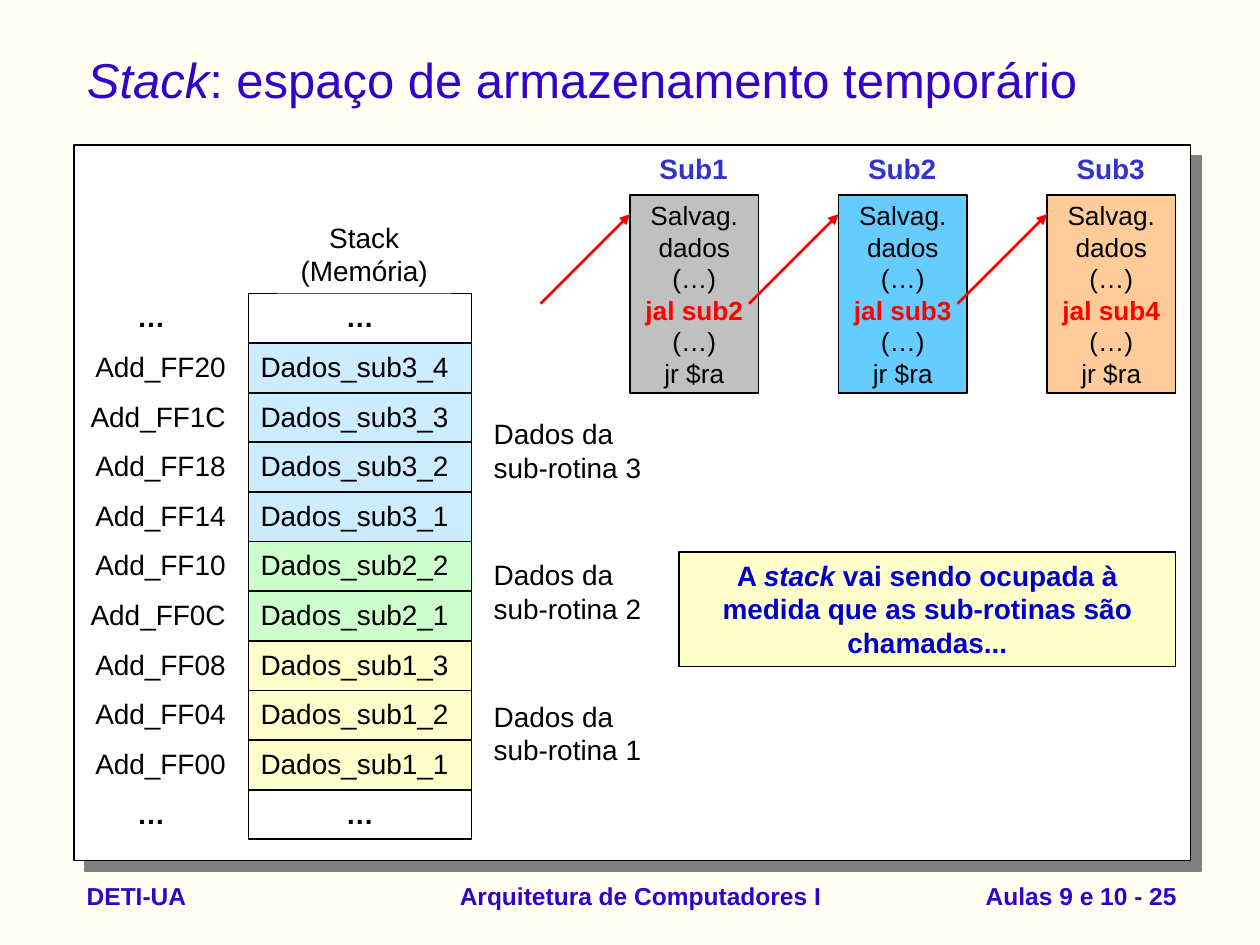
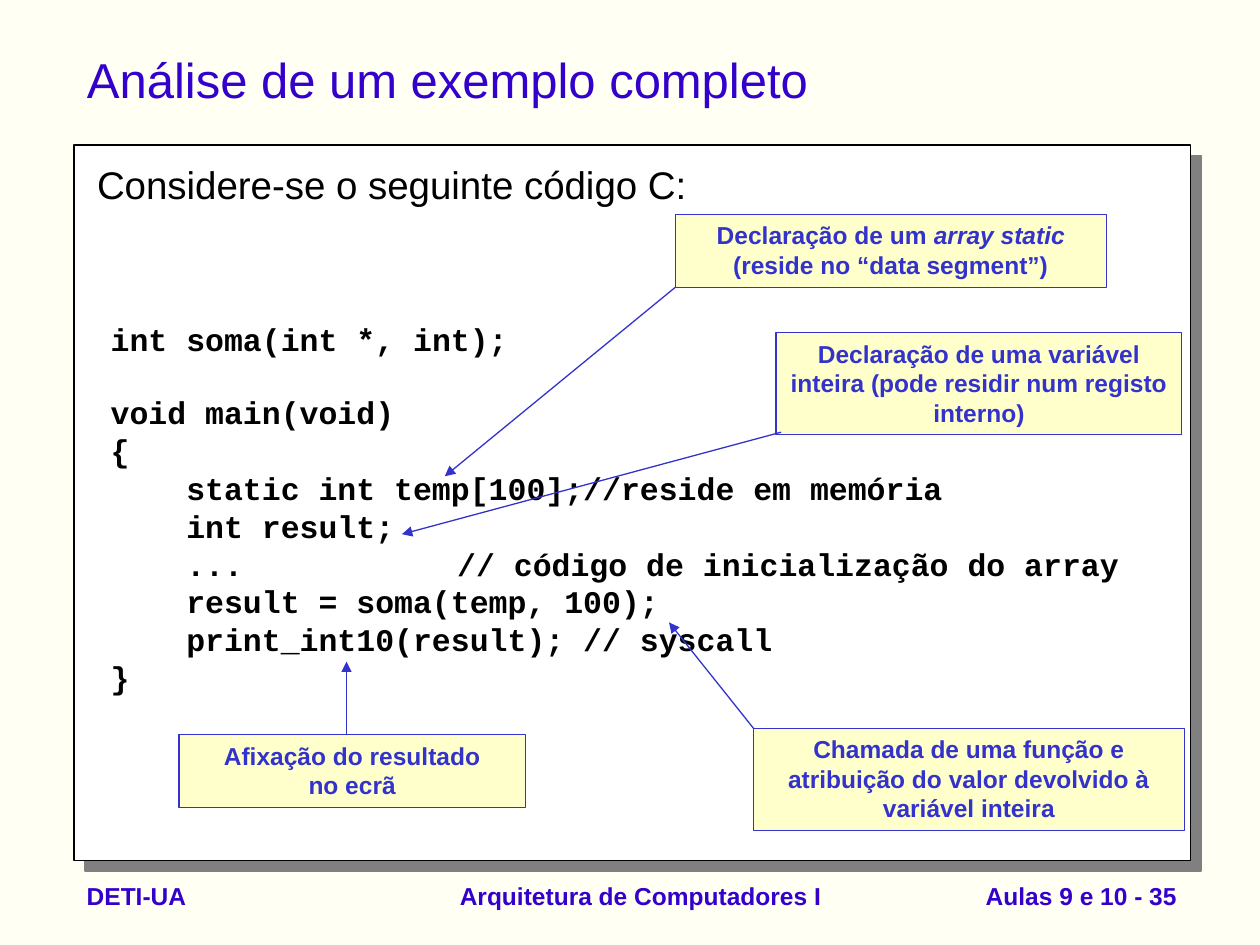
from lxml import etree
from pptx import Presentation
from pptx.dml.color import RGBColor
from pptx.enum import shapes, text
from pptx.oxml import parse_xml
from pptx.oxml.ns import nsdecls, qn
from pptx.util import Inches, Pt

INDIGO, BLUE, NAVY = "3300CC", "3333CC", "0000CC"
BLACK, WHITE, RED = "000000", "FFFFFF", "FF0000"
PAPER, YELLOW, GREEN, SKY = "FFFFF4", "FFFFCC", "CCFFCC", "CCECFF"
LEFT, CENTER, RIGHT = text.PP_ALIGN.LEFT, text.PP_ALIGN.CENTER, text.PP_ALIGN.RIGHT
TOP, MIDDLE = text.MSO_ANCHOR.TOP, text.MSO_ANCHOR.MIDDLE
ITALIC = {"italic": True}

PANEL = (0.59, 1.15, 8.86, 5.68)
TITLE = (0.59, 0.28, 8.86, 0.7)
FOOTERS = [
    ((0.59, 6.85, 2.36, 0.52), "DETI-UA", LEFT),
    ((3.5, 6.85, 3.17, 0.52), "Arquitetura de Computadores I", CENTER),
    ((7.11, 6.85, 2.33, 0.52), "Aulas 9 e 10 - {}", RIGHT),
]

# Memory words from the highest address down: address, content, fill
STACK = [
    ("…", "…", WHITE),
    ("Add_FF20", "Dados_sub3_4", SKY),
    ("Add_FF1C", "Dados_sub3_3", SKY),
    ("Add_FF18", "Dados_sub3_2", SKY),
    ("Add_FF14", "Dados_sub3_1", SKY),
    ("Add_FF10", "Dados_sub2_2", GREEN),
    ("Add_FF0C", "Dados_sub2_1", GREEN),
    ("Add_FF08", "Dados_sub1_3", YELLOW),
    ("Add_FF04", "Dados_sub1_2", YELLOW),
    ("Add_FF00", "Dados_sub1_1", YELLOW),
    ("…", "…", WHITE),
]
STACK_TOP, ROW_PITCH, ROW_HEIGHT = 2.33, 0.394, 0.39
SUBROUTINE_FILLS = ["C0C0C0", "66CCFF", "FFCC99"]
STACK_NOTE = [("A ", {}), ("stack", ITALIC),
              (" vai sendo ocupada à medida que as sub-rotinas são chamadas...", {})]

CODE = [
    "int soma(int *, int);",
    "void main(void)",
    "{",
    "\tstatic int temp[100];//reside em memória",
    "\tint result;",
    "\t...\t// código de inicialização do array",
    "\tresult = soma(temp, 100);",
    "\tprint_int10(result); // syscall",
    "}",
]
CODE_TABS = [0.6, 2.75]

# Box, paragraphs, arrow start, arrow end
CALLOUTS = [
    ((5.36, 1.7, 3.42, 0.58),
     [[("Declaração de um ", {}), ("array static", ITALIC), (" (reside no “data segment”)", {})]],
     (5.36, 2.28), (3.53, 3.78)),
    ((6.16, 2.64, 3.22, 0.81),
     ["Declaração de uma variável inteira (pode residir num registo interno)"],
     (6.2, 3.43), (3.19, 4.24)),
    ((5.98, 5.78, 3.42, 0.81),
     ["Chamada de uma função e atribuição do valor devolvido à variável inteira"],
     (5.98, 5.78), (5.31, 4.94)),
    ((1.42, 5.83, 2.75, 0.58),
     ["Afixação do resultado", "no ecrã"],
     (2.75, 5.83), (2.75, 5.25)),
]


def rgb(color):
    return RGBColor.from_string(color)


def inches(*lengths):
    return [Inches(length) for length in lengths]


def write(sp, paragraphs, size, color=BLACK, bold=False, align=LEFT, anchor=TOP,
          font="Arial", wrap=True):
    """Fill a shape; a paragraph is a string or a list of (text, font overrides)."""
    tf = sp.text_frame
    tf.word_wrap = wrap
    tf.auto_size = text.MSO_AUTO_SIZE.NONE
    tf.vertical_anchor = anchor
    for i, runs in enumerate(paragraphs):
        p = tf.add_paragraph() if i else tf.paragraphs[0]
        p.alignment = align
        p.font.name, p.font.size, p.font.bold = font, Pt(size), bold
        p.font.color.rgb = rgb(color)
        for words, style in [(runs, {})] if isinstance(runs, str) else runs:
            r = p.add_run()
            r.text = words
            for name, value in style.items():
                if name == "color":
                    r.font.color.rgb = rgb(value)
                else:
                    setattr(r.font, name, value)
    return tf


def add_text(s, box, paragraphs, size, **style):
    return write(s.shapes.add_textbox(*inches(*box)), paragraphs, size, **style)


def add_box(s, box, fill, line=None, width=0.75):
    sp = s.shapes.add_shape(shapes.MSO_SHAPE.RECTANGLE, *inches(*box))
    sp.shadow.inherit = False
    sp.fill.solid()
    sp.fill.fore_color.rgb = rgb(fill)
    if line:
        sp.line.color.rgb = rgb(line)
        sp.line.width = Pt(width)
    else:
        sp.line.fill.background()
    return sp


def add_arrow(s, start, end, color, width):
    cn = s.shapes.add_connector(shapes.MSO_CONNECTOR.STRAIGHT, *inches(*start, *end))
    cn.line.color.rgb = rgb(color)
    cn.line.width = Pt(width)
    etree.SubElement(cn.line._get_or_add_ln(), qn("a:tailEnd"), type="triangle")
    etree.SubElement(cn._element.spPr, qn("a:effectLst"))


def place(sp, box):
    sp.left, sp.top, sp.width, sp.height = inches(*box)


def add_panel(s):
    """Put the white panel with its hard shadow behind everything else."""
    sp = add_box(s, PANEL, WHITE, BLACK, 1)
    effects = sp._element.spPr.find(qn("a:effectLst"))
    effects.append(parse_xml(
        f'<a:outerShdw {nsdecls("a")} dist="{Pt(8.5)}" dir="2700000" algn="ctr" '
        'rotWithShape="0"><a:srgbClr val="808080"/></a:outerShdw>'))
    s.shapes._spTree.insert(2, sp._element)


def new_slide(prs, layout, title, number):
    s = prs.slides.add_slide(prs.slide_layouts[layout])
    s.background.fill.solid()
    s.background.fill.fore_color.rgb = rgb(PAPER)
    add_panel(s)
    place(s.shapes.title, TITLE)
    write(s.shapes.title, [title], 28, INDIGO, anchor=MIDDLE)
    for box, words, align in FOOTERS:
        add_text(s, box, [words.format(number)], 14, color=INDIGO, bold=True,
                 align=align, anchor=MIDDLE)
    return s


def build_stack_slide(prs):
    s = new_slide(prs, 5, [("Stack", ITALIC), (": espaço de armazenamento temporário", {})], 25)
    for i, (address, content, fill) in enumerate(STACK):
        y = STACK_TOP + i * ROW_PITCH
        dots = content == "…"
        add_text(s, (0.51, y, 1.38, ROW_HEIGHT), [address], 16, bold=dots,
                 align=CENTER if dots else RIGHT)
        cell = add_box(s, (1.97, y, 1.77, ROW_HEIGHT), fill, BLACK)
        write(cell, [content], 16, bold=dots, align=CENTER if dots else LEFT)
    heading = add_box(s, (2.2, 1.7, 1.38, 0.63), WHITE)
    write(heading, ["Stack", "(Memória)"], 16, align=CENTER)

    for i, fill in enumerate(SUBROUTINE_FILLS):
        n = i + 1
        add_text(s, (3.82, 5.5 - 1.12 * i, 1.5, 0.77), ["Dados da", f"sub-rotina {n}"], 16)
        x = 5 + 1.655 * i
        add_text(s, (x + 0.11, 1.15, 0.79, 0.37), [f"Sub{n}"], 16, color=BLUE, bold=True,
                 align=CENTER)
        call = [(f"jal sub{n + 1}", {"color": RED, "bold": True})]
        write(add_box(s, (x, 1.55, 1.02, 1.57), fill, BLACK, 1),
              ["Salvag.", "dados", "(…)", call, "(…)", "jr $ra"], 15,
              align=CENTER, anchor=MIDDLE, wrap=False)
    for i in range(len(SUBROUTINE_FILLS)):
        x = 5 + 1.655 * i
        add_arrow(s, (x - 0.71, 2.41), (x, 1.7), RED, 1.5)

    note = add_box(s, (5.39, 4.38, 3.94, 0.91), YELLOW, BLACK)
    write(note, [STACK_NOTE], 16, NAVY, bold=True, align=CENTER)


def build_code_slide(prs):
    s = new_slide(prs, 1, "Análise de um exemplo completo", 35)
    body = s.placeholders[1]
    place(body, (0.67, 1.23, 8.74, 5.54))
    p = write(body, ["Considere-se o seguinte código C:"], 22).paragraphs[0]
    pPr = p._p.get_or_add_pPr()
    pPr.set("marL", str(Inches(0.2)))
    pPr.set("indent", str(Inches(-0.2)))
    pPr.insert_element_before(parse_xml(f'<a:buNone {nsdecls("a")}/>'), "a:tabLst", "a:defRPr")

    tf = add_text(s, (0.78, 2.49, 8.71, 3.1), CODE, 18, bold=True, font="Courier New")
    stops = "".join(f'<a:tab pos="{Inches(stop)}" algn="l"/>' for stop in CODE_TABS)
    for p in tf.paragraphs:
        tabs = parse_xml(f'<a:tabLst {nsdecls("a")}>{stops}</a:tabLst>')
        p._p.get_or_add_pPr().insert_element_before(tabs, "a:defRPr")
    tf.paragraphs[1].space_before = Pt(20.4)

    for box, paragraphs, start, end in CALLOUTS:
        write(add_box(s, box, YELLOW, BLUE), paragraphs, 14, BLUE, bold=True, align=CENTER)
        add_arrow(s, start, end, BLUE, 0.75)


def main():
    prs = Presentation()
    prs.slide_width, prs.slide_height = inches(10, 7.5)
    build_stack_slide(prs)
    build_code_slide(prs)
    prs.save("out.pptx")


if __name__ == "__main__":
    main()
